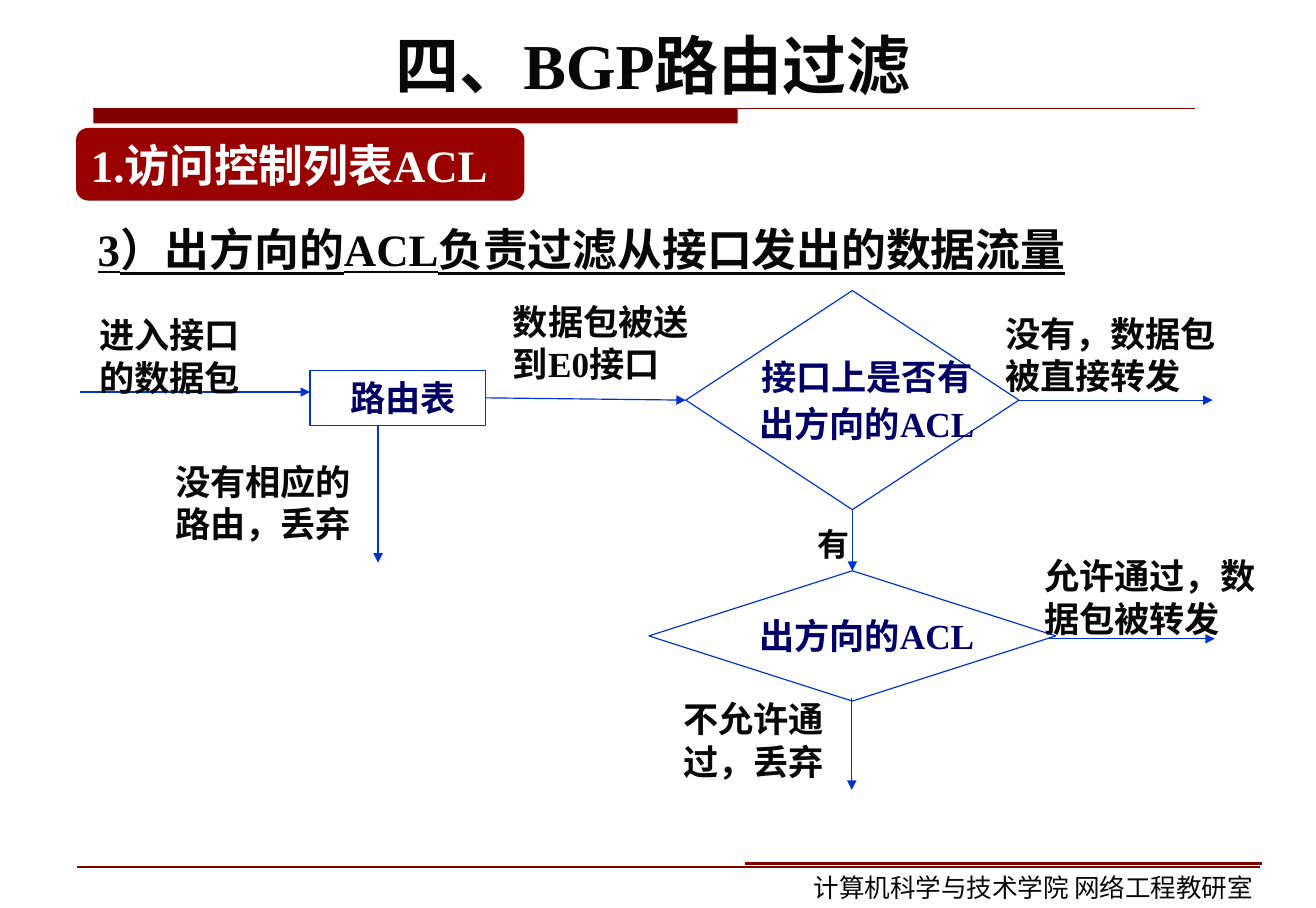
from lxml import etree
from pptx import Presentation
from pptx import util as u
from pptx.dml.color import RGBColor
from pptx.enum import shapes, text
from pptx.oxml.ns import qn

COLORS = {"ink": "080808", "navy": "000066", "blue": "0033CC", "maroon": "800000",
          "red": "990000", "white": "FFFFFF"}
SERIF = "Times New Roman"
KIND = shapes.MSO_SHAPE
LEFT, CENTER = text.PP_ALIGN.LEFT, text.PP_ALIGN.CENTER
TOP, MIDDLE = text.MSO_ANCHOR.TOP, text.MSO_ANCHOR.MIDDLE

TITLE = ("四、BGP路由过滤", (0.61, 0, 10.1, 1.11))
SECTION = ("1.访问控制列表ACL", (0.66, 1.11, 3.89, 0.63))
HEADING = ("3）出方向的ACL负责过滤从接口发出的数据流量", (0.75, 1.83, 10.24, 0.62))
FOOTER = ("计算机科学与技术学院 网络工程教研室", (6.96, 7.51, 4.2, 0.37))
NODES = {
    "routes": (KIND.RECTANGLE, ["路由表"], (2.69, 3.21, 1.52, 0.48)),
    "interface": (KIND.DIAMOND, ["接口上是否有", "出方向的ACL"], (5.95, 2.52, 2.89, 1.9)),
    "acl": (KIND.DIAMOND, ["出方向的ACL"], (5.63, 4.95, 3.53, 1.13)),
}
LABELS = [
    ("进入接口的数据包", (0.75, 2.66, 1.65, 0.84)),
    ("没有，数据包被直接转发", (8.61, 2.65, 2.15, 0.84)),
    ("没有相应的路由，丢弃", (1.41, 3.93, 1.86, 0.84)),
    ("数据包被送到E0接口", (4.34, 2.54, 1.92, 0.84)),
    ("不允许通过，丢弃", (5.82, 5.99, 1.57, 0.84)),
    ("允许通过，数据包被转发", (8.95, 4.75, 2.12, 0.84)),
]
YES = ("有", (6.74, 4.49, 0.7, 0.44))
ARROWS = [
    ((0.69, 3.4, 2.69, 3.4), None, None),
    ((3.28, 3.69, 3.28, 4.88), None, None),
    ((4.21, 3.45, 5.95, 3.47), ("routes", 3), ("interface", 1)),
    ((8.84, 3.47, 10.52, 3.47), ("interface", 3), None),
    ((7.4, 4.42, 7.4, 4.95), ("interface", 2), ("acl", 0)),
    ((7.39, 6.05, 7.39, 6.85), None, None),
    ((9.1, 5.54, 10.54, 5.54), None, None),
]
RULES = [
    ((0.81, 0.94, 10.37, 0.94), 0.75),
    ((0.67, 7.52, 10.93, 7.52), 1.5),
    ((6.46, 7.49, 10.95, 7.49), 2.25),
]
TITLE_BAR = (0.81, 0.94, 5.59, 0.13)

prs = Presentation()
prs.slide_width = u.Cm(29)
prs.slide_height = u.Cm(20)
slide = prs.slides.add_slide(prs.slide_layouts[6])


def inches(values):
    return [u.Inches(v) for v in values]


def rgb(name):
    return RGBColor.from_string(COLORS[name])


def write(sp, lines, size, color="ink", font=SERIF, bold=True, align=LEFT,
          anchor=TOP, wrap=True, inset=(0.11, 0.06)):
    tf = sp.text_frame
    tf.word_wrap = wrap
    tf.vertical_anchor = anchor
    tf.margin_left, tf.margin_top = inches(inset)
    tf.margin_right, tf.margin_bottom = inches((0.1, inset[1]))
    tf.text = "\n".join(lines)
    for p in tf.paragraphs:
        p.alignment = align
        p.font.size, p.font.name, p.font.bold = u.Pt(size), font, bold
        p.font.color.rgb = rgb(color)
    return tf


def add_box(kind, place, fill=None, line=None):
    sp = slide.shapes.add_shape(kind, *inches(place))
    sp.shadow.inherit = False
    if fill:
        sp.fill.solid()
        sp.fill.fore_color.rgb = rgb(fill)
    else:
        sp.fill.background()
    if line:
        sp.line.color.rgb = rgb(line)
        sp.line.width = u.Pt(0.75)
    else:
        sp.line.fill.background()
    return sp


def add_text(item, size, **style):
    content, place = item
    return write(slide.shapes.add_textbox(*inches(place)), [content], size, **style)


def add_line(ends, color, width):
    line = slide.shapes.add_connector(shapes.MSO_CONNECTOR.STRAIGHT, *inches(ends))
    line.line.color.rgb = rgb(color)
    line.line.width = u.Pt(width)
    etree.SubElement(line._element.spPr, qn("a:effectLst"))
    return line


add_box(KIND.RECTANGLE, TITLE_BAR, fill="maroon")
for ends, width in RULES:
    add_line(ends, "maroon", width)

add_text(TITLE, 40, align=CENTER, anchor=MIDDLE)
section = add_box(KIND.ROUNDED_RECTANGLE, SECTION[1], fill="red")
write(section, [SECTION[0]], 28, "white", anchor=MIDDLE, wrap=False, inset=(0.1, 0.05))
heading = add_text(HEADING, 28, inset=(0.1, 0.05)).paragraphs[0]
heading.line_spacing = 1.1
heading.font.underline = True

nodes = {}
for name, (kind, lines, place) in NODES.items():
    nodes[name] = add_box(kind, place, line="blue")
    diamond = kind == KIND.DIAMOND
    tf = write(nodes[name], lines, 22, "navy", align=CENTER if diamond else LEFT,
               anchor=MIDDLE, wrap=not diamond, inset=(0.35, 0.06))
    for p in tf.paragraphs[1:]:
        p.space_before = u.Pt(2.8)

for ends, start, finish in ARROWS:
    arrow = add_line(ends, "blue", 0.75)
    if start:
        arrow.begin_connect(nodes[start[0]], start[1])
    if finish:
        arrow.end_connect(nodes[finish[0]], finish[1])
    etree.SubElement(arrow.line._get_or_add_ln(), qn("a:tailEnd"), type="triangle")

for label in LABELS:
    add_text(label, 22)
add_text(YES, 20, font="Noto Sans CJK SC", inset=(0.35, 0.06))
add_text(FOOTER, 16, font="Arial", bold=False, inset=(0.1, 0.05))

prs.save("out.pptx")
